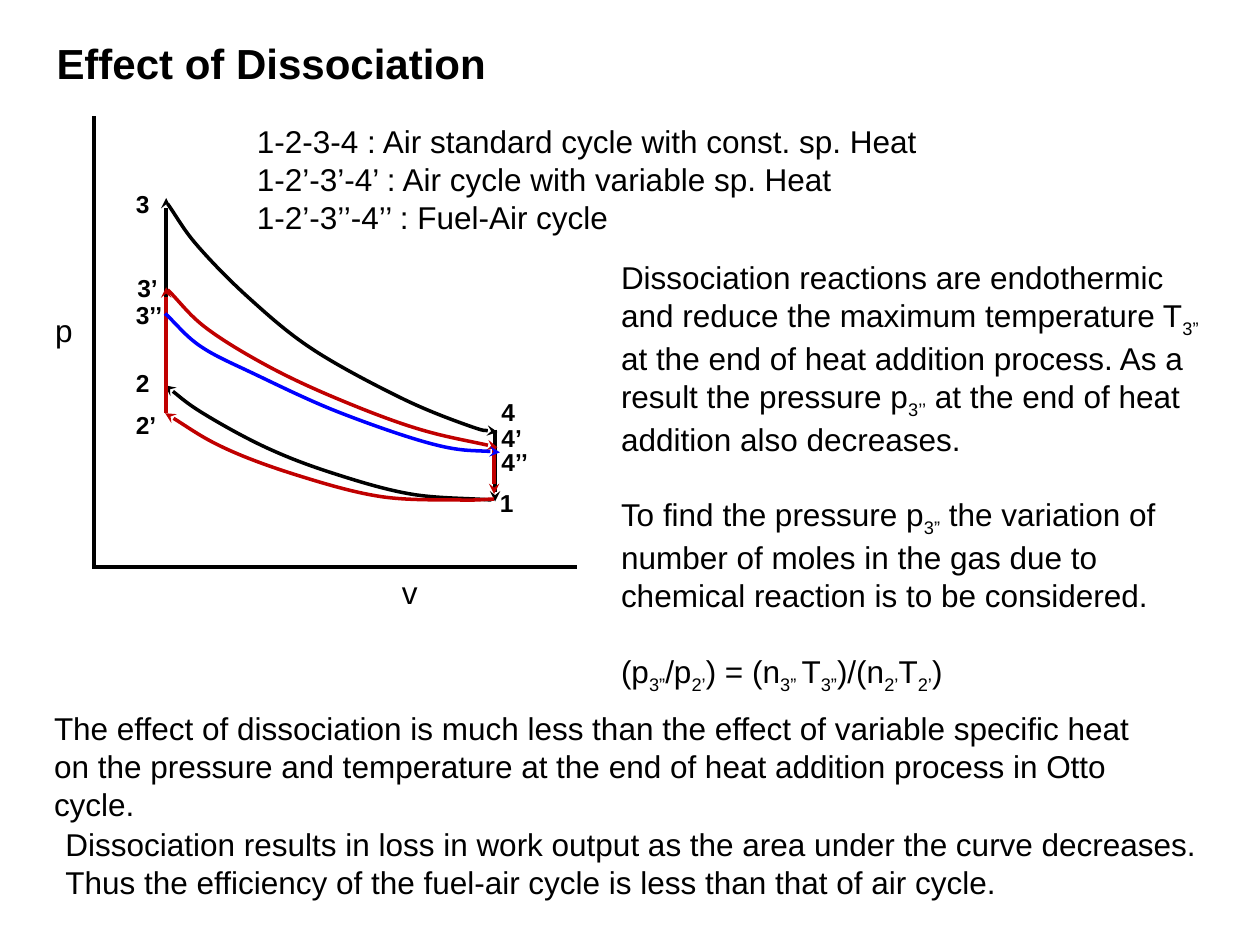
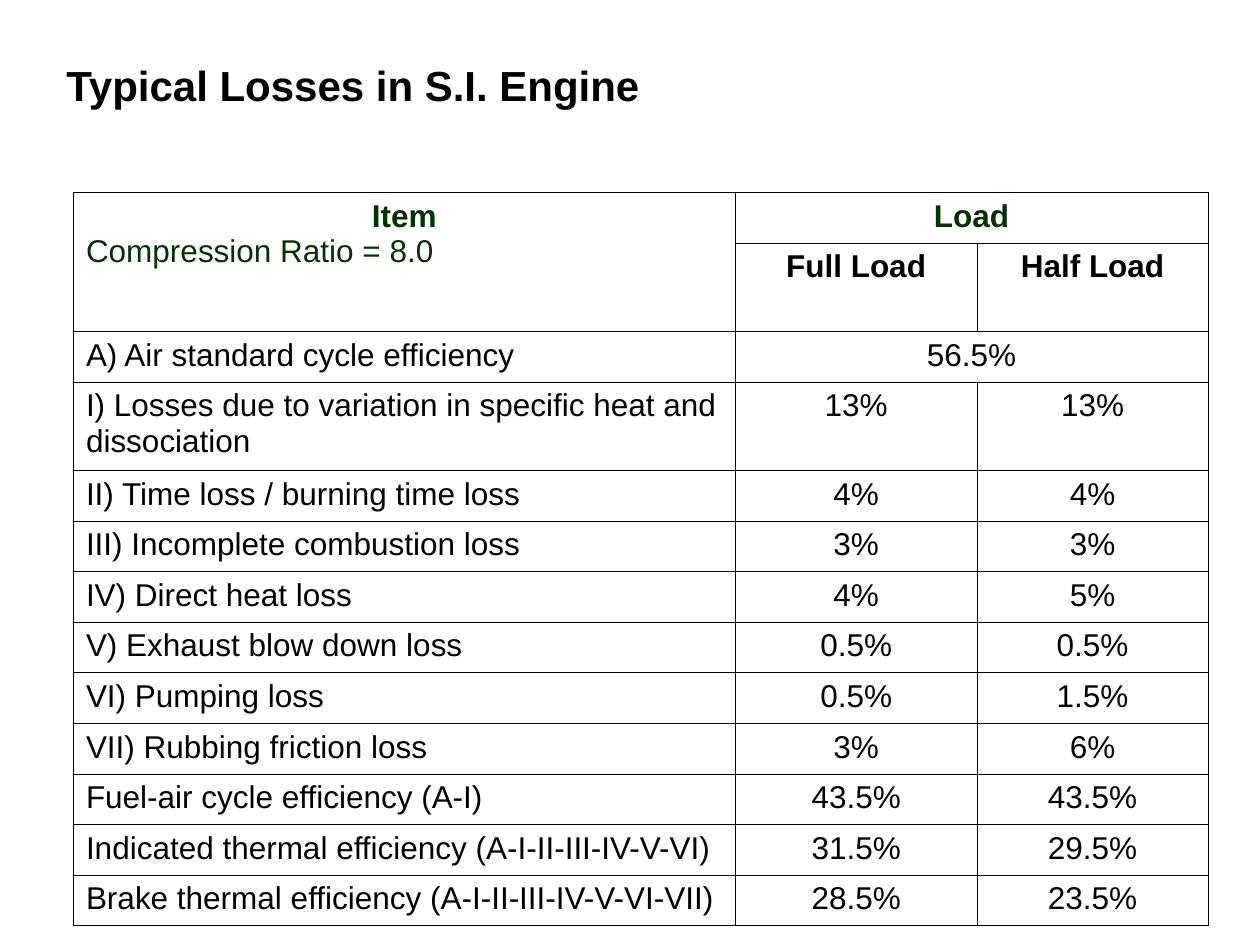
from lxml import etree
from pptx import Presentation
from pptx.dml.color import RGBColor
from pptx.enum import shapes, text
from pptx.oxml import ns
from pptx.util import Cm, Pt

COLORS = {"ink": "000000", "head": "003300", "variable": "C00000", "fuel_air": "0000FF"}
FONT = "Arial"
BODY, LABEL, TITLE = 18, 14, 24


def rgb(name):
    return RGBColor.from_string(COLORS[name])


def smooth_controls(knots):
    """Two Bezier control points for each span of a smooth curve through the knots."""
    def mirror(a, b):
        return 2 * a[0] - b[0], 2 * a[1] - b[1]

    pts = [mirror(knots[0], knots[1]), *knots, mirror(knots[-1], knots[-2])]
    for before, a, b, after in zip(pts, pts[1:], pts[2:], pts[3:]):
        yield (tuple(a[i] + (b[i] - before[i]) / 6 for i in (0, 1)),
               tuple(b[i] - (after[i] - a[i]) / 6 for i in (0, 1)), b)


class Deck:
    def __init__(self):
        self.prs = Presentation()
        self.prs.slide_width, self.prs.slide_height = Cm(25.4), Cm(19.05)
        self.s = None

    def slide(self, title, x, y, w):
        self.s = self.prs.slides.add_slide(self.prs.slide_layouts[6])
        self.text([title], x, y, w, 1.27, size=TITLE, bold=True, wrap=False)

    def font(self, p, size=BODY, bold=False, color="ink"):
        for r in p.runs:
            r.font.name, r.font.size, r.font.bold = FONT, Pt(size), bold
            r.font.color.rgb = rgb(color)

    def text(self, lines, x, y, w, h, size=BODY, bold=False, wrap=True, gap=0):
        """Add a text box; parts of a line between bars become subscripts."""
        sp = self.s.shapes.add_textbox(Cm(x), Cm(y), Cm(w), Cm(h))
        tf = sp.text_frame
        tf.word_wrap = wrap
        tf.auto_size = text.MSO_AUTO_SIZE.SHAPE_TO_FIT_TEXT
        for i, line in enumerate(lines):
            p = tf.paragraphs[0] if i == 0 else tf.add_paragraph()
            if i:
                p.space_before = Pt(gap)
            for j, part in enumerate(line.split("|")):
                r = p.add_run()
                r.text = part
                if j % 2:
                    r._r.get_or_add_rPr().set("baseline", "-25000")
            self.font(p, size, bold)
        return tf

    def label(self, name, x, y):
        """Name a state point of the cycle."""
        tf = self.text([name], x, y, 0.53 + 0.14 * (len(name) - 1), 0.58,
                       size=LABEL, bold=True, wrap=False)
        tf.margin_left = tf.margin_top = tf.margin_bottom = 0

    def stroke(self, sp, color, arrow):
        sp.line.color.rgb = rgb(color)
        sp.line.width = Pt(2)
        if arrow:
            ln = sp.line._get_or_add_ln()
            etree.SubElement(ln, ns.qn("a:tailEnd"), type="stealth")

    def line(self, start, end, color="ink", arrow=True):
        sp = self.s.shapes.add_connector(shapes.MSO_CONNECTOR.STRAIGHT,
                                         *map(Cm, (*start, *end)))
        self.stroke(sp, color, arrow)
        etree.SubElement(sp._element.spPr, ns.qn("a:effectLst"))

    def curve(self, knots, color="ink"):
        """Draw an arrow that passes smoothly through the knots."""
        fb = self.s.shapes.build_freeform(*map(Cm, knots[0]))
        spans = [pt for span in smooth_controls(knots) for pt in span]
        fb.add_line_segments([(Cm(px), Cm(py)) for px, py in spans], close=False)
        sp = fb.convert_to_shape()
        sp.fill.background()
        sp.shadow.inherit = False
        self.stroke(sp, color, True)
        outline = next(sp._element.iter(ns.qn("a:path")))
        segments = outline.findall(ns.qn("a:lnTo"))
        for i in range(0, len(segments), 3):
            bezier = etree.SubElement(outline, ns.qn("a:cubicBezTo"))
            for segment in segments[i:i + 3]:
                bezier.append(segment[0])
                outline.remove(segment)

    def table(self, rows, x, y, widths, heights, merges):
        tb = self.s.shapes.add_table(len(rows), len(widths), Cm(x), Cm(y),
                                     Cm(sum(widths)), Cm(sum(heights))).table
        tb.first_row = tb.horz_banding = False
        for col, w in zip(tb.columns, widths):
            col.width = Cm(w)
        for row, h in zip(tb.rows, heights):
            row.height = Cm(h)
        for i, row in enumerate(rows):
            for j, value in enumerate(row):
                cell = tb.cell(i, j)
                cell.fill.background()
                self.borders(cell)
                cell.text_frame.text = value
                for p in cell.text_frame.paragraphs:
                    if j or i == 0:
                        p.alignment = text.PP_ALIGN.CENTER
                    self.font(p, bold=i < 2, color="ink" if i else "head")
        for first, last in merges:
            tb.cell(*first).merge(tb.cell(*last))
        return tb

    def borders(self, cell):
        tcPr = cell._tc.get_or_add_tcPr()
        for i, side in enumerate(("lnL", "lnR", "lnT", "lnB")):
            ln = etree.Element(ns.qn(f"a:{side}"), w=str(Pt(0.45)))
            fill = etree.SubElement(ln, ns.qn("a:solidFill"))
            etree.SubElement(fill, ns.qn("a:srgbClr"), val=COLORS["ink"])
            tcPr.insert(i, ln)


def dissociation_slide(d):
    d.slide("Effect of Dissociation", 0.89, 0.64, 9.17)
    d.line((1.9, 2.34), (1.9, 11.43), arrow=False)
    d.line((1.85, 11.43), (11.63, 11.43), arrow=False)
    d.text(["p"], 0.86, 6.15, 0.86, 1.02, wrap=False)
    d.text(["v"], 7.85, 11.43, 0.81, 1.02, wrap=False)

    # Air standard cycle
    d.curve([(9.91, 10.08), (8.28, 9.96), (6.68, 9.53), (5.36, 9.02), (4.09, 8.33), (3.33, 7.77)])
    d.line((3.35, 7.8), (3.35, 3.99))
    d.curve([(3.38, 4.11), (3.96, 4.93), (5, 5.99), (6.3, 7.04), (8.1, 8.03), (9.47, 8.59),
             (10.03, 8.71)])
    d.line((9.98, 8.66), (9.98, 10.11))

    # Air cycle with variable specific heat
    d.line((3.35, 8.33), (3.35, 5.79), "variable")
    d.curve([(9.96, 10.06), (9.27, 10.08), (7.67, 10.01), (5.99, 9.58), (4.5, 9.02), (3.33, 8.33)],
            "variable")
    d.curve([(3.38, 5.84), (4.14, 6.6), (5.38, 7.37), (6.78, 8.03), (8.41, 8.64), (10.03, 9.02)],
            "variable")
    d.line((9.96, 9.02), (9.96, 9.96), "variable")

    # Fuel-air cycle
    d.curve([(3.33, 6.32), (4.04, 6.98), (5.13, 7.54), (6.83, 8.31), (8.79, 8.97), (10.08, 9.12)],
            "fuel_air")

    for name, x, y in (("1", 10.08, 9.83), ("2", 2.74, 7.42), ("3", 2.74, 3.81), ("4", 10.11, 8),
                       ("2’", 2.74, 8.26), ("3’", 2.77, 5.51), ("4’", 10.11, 8.53),
                       ("4’’", 10.11, 9.02), ("3’’", 2.74, 6.05)):
        d.label(name, x, y)

    d.text(["1-2-3-4 : Air standard cycle with const. sp. Heat",
            "1-2’-3’-4’ : Air cycle with variable sp. Heat",
            "1-2’-3’’-4’’ : Fuel-Air cycle"], 4.93, 2.34, 13.84, 2.54, wrap=False)
    d.text(["Dissociation reactions are endothermic and reduce the maximum temperature T|3”| at the "
            "end of heat addition process. As a result the pressure p|3’’| at the end of heat "
            "addition also decreases.",
            "To find the pressure p|3”| the variation of number of moles in the gas due to "
            "chemical reaction is to be considered.",
            "(p|3”|/p|2’|) = (n|3” |T|3”|)/(n|2’|T|2’|)"], 12.27, 5.08, 12.5, 9.07, gap=21.6)
    d.text(["The effect of dissociation is much less than the effect of variable specific heat on "
            "the pressure and temperature at the end of heat addition process in Otto cycle."],
           0.84, 14.17, 23.06, 2.54)
    d.text(["Dissociation results in loss in work output as the area under the curve decreases. "
            "Thus the efficiency of the fuel-air cycle is less than that of air cycle."],
           1.07, 16.51, 23.5, 1.78)


def losses_slide(d):
    d.slide("Typical Losses in S.I. Engine", 1.09, 1.07, 12.12)
    rows = [("Item\nCompression Ratio = 8.0", "Load", ""),
            ("", "Full Load", "Half Load"),
            ("A) Air standard cycle efficiency", "56.5%", ""),
            ("I) Losses due to variation in specific heat and dissociation", "13%", "13%"),
            ("II) Time loss / burning time loss", "4%", "4%"),
            ("III) Incomplete combustion loss", "3%", "3%"),
            ("IV) Direct heat loss", "4%", "5%"),
            ("V) Exhaust blow down loss", "0.5%", "0.5%"),
            ("VI) Pumping loss", "0.5%", "1.5%"),
            ("VII) Rubbing friction loss", "3%", "6%"),
            ("Fuel-air cycle efficiency (A-I)", "43.5%", "43.5%"),
            ("Indicated thermal efficiency (A-I-II-III-IV-V-VI)", "31.5%", "29.5%"),
            ("Brake thermal efficiency (A-I-II-III-IV-V-VI-VII)", "28.5%", "23.5%")]
    heights = [1.78 if i in (1, 3) else 1.02 for i in range(len(rows))]
    tb = d.table(rows, 1.48, 3.88, (13.34, 4.88, 4.65), heights,
                 [((0, 0), (1, 0)), ((0, 1), (0, 2)), ((2, 1), (2, 2))])
    ratio = tb.cell(0, 0).text_frame.paragraphs[1]
    ratio.alignment = text.PP_ALIGN.LEFT
    d.font(ratio, color="head")


def main():
    d = Deck()
    dissociation_slide(d)
    losses_slide(d)
    d.prs.save("out.pptx")


if __name__ == "__main__":
    main()
